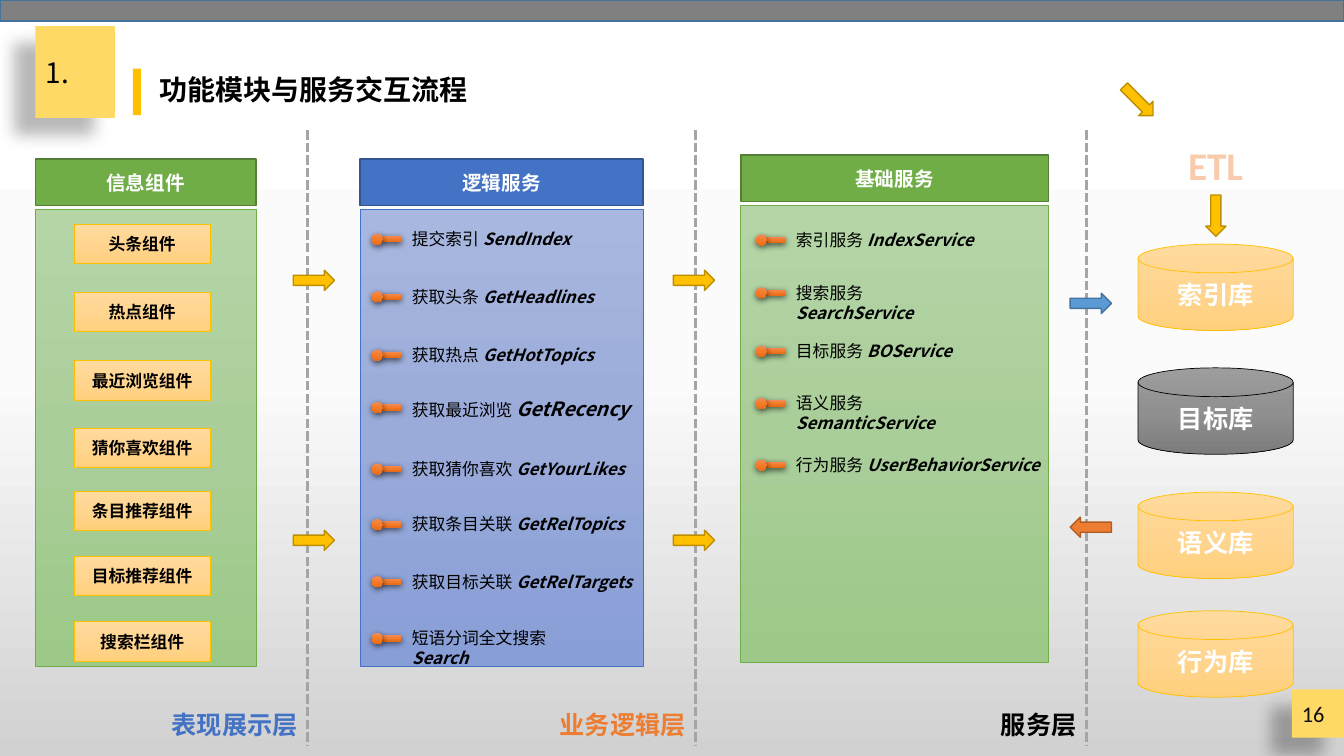
from dataclasses import dataclass
from typing import NamedTuple, Optional

from lxml import etree
from pptx import Presentation
from pptx.dml.color import RGBColor
from pptx.enum.dml import MSO_LINE
from pptx.enum.shapes import MSO_CONNECTOR, MSO_SHAPE
from pptx.enum.text import MSO_ANCHOR, MSO_AUTO_SIZE, PP_ALIGN
from pptx.oxml.ns import qn
from pptx.util import Cm, Pt

RECT, OVAL = MSO_SHAPE.RECTANGLE, MSO_SHAPE.OVAL
ARROW, DISK = MSO_SHAPE.RIGHT_ARROW, MSO_SHAPE.FLOWCHART_MAGNETIC_DISK
STRAIGHT, DASH = MSO_CONNECTOR.STRAIGHT, MSO_LINE.SQUARE_DOT
MIDDLE, FIT = MSO_ANCHOR.MIDDLE, MSO_AUTO_SIZE.SHAPE_TO_FIT_TEXT
LEFT, CENTER, RIGHT = PP_ALIGN.LEFT, PP_ALIGN.CENTER, PP_ALIGN.RIGHT

HANS, LATIN = "Noto Sans CJK SC", "Calibri"
COLORS = {
    "black": "000000", "white": "FFFFFF", "ink": "0D0D0D", "gray": "808080",
    "dash": "A5A5A5", "note": "FFD966", "gold": "FFC000", "dark gold": "BD8E00",
    "green": "70AD47", "dark green": "538035", "blue": "4472C4",
    "dark blue": "325491", "sky": "5B9BD5", "dark sky": "43739E",
    "orange": "ED7D31", "rust": "AF5C24", "peach": "F8CBAD",
}
FADES = {
    "page": ("FFFFFF", "FBFBFB", "D1D1D1"),
    "green": ("B5D5A7", "AACE9A", "9CC987"),
    "blue": ("A8B7DF", "9AABD9", "889ED7"),
    "gold": ("FFDB9E", "FFD590", "FFD07C"),
    "gray": ("9D9D9D", "909090", "7C7C7C"),
    "pin": ("F18C57", "F67B28", "E56C19"),
}


class Box(NamedTuple):
    x: float
    y: float
    w: float
    h: float


class Shade(NamedTuple):
    alpha: int
    blur: float
    dist: float
    angle: int


@dataclass
class Type:
    size: int
    color: str = "black"
    bold: bool = False
    align: PP_ALIGN = LEFT
    face: str = HANS


@dataclass
class Panel:
    title: str
    x: float
    y: float
    w: float
    hue: str


@dataclass
class Call:
    y: float
    w: float
    label: str
    name: str
    wrap: bool = False
    size: Optional[int] = None


@dataclass
class Arrow:
    x: float
    y: float
    turn: int = 0
    fill: str = "gold"
    edge: str = "dark gold"


NOTE, PIN = Shade(28, 11.8, 19.7, 141), Shade(63, 4.5, 1.5, 90)
HEAD = Type(14, "white", True, CENTER)
PANELS = [
    Panel("信息组件", 0.89, 4.01, 5.56, "green"),
    Panel("逻辑服务", 9.07, 4.01, 7.14, "blue"),
    Panel("基础服务", 18.67, 3.91, 7.75, "green"),
]
LAYERS = [(7.75, "表现展示层", "blue"), (17.53, "业务逻辑层", "orange"),
          (27.38, "服务层", "black")]
WIDGETS = [(5.66, "头条组件"), (7.37, "热点组件"), (9.09, "最近浏览组件"),
           (10.8, "猜你喜欢组件"), (12.37, "条目推荐组件"),
           (14.02, "目标推荐组件"), (15.67, "搜索栏组件")]
CALLS = {
    10.13: [
        Call(5.64, 4.62, "提交索引", "SendIndex"),
        Call(7.09, 5.21, "获取头条", "GetHeadlines"),
        Call(8.56, 5.21, "获取热点", "GetHotTopics"),
        Call(9.88, 6.12, "获取最近浏览", "GetRecency", size=14),
        Call(11.43, 5.99, "获取猜你喜欢", "GetYourLikes"),
        Call(12.83, 5.97, "获取条目关联", "GetRelTopics"),
        Call(14.27, 6.2, "获取目标关联", "GetRelTargets"),
        Call(15.7, 4.9, "短语分词全文搜索", "Search", True),
    ],
    19.81: [
        Call(5.66, 5.11, "索引服务", "IndexService"),
        Call(6.99, 5.2, "搜索服务", "SearchService", True),
        Call(8.46, 4.55, "目标服务", "BOService"),
        Call(9.78, 5.6, "语义服务", "SemanticService", True),
        Call(11.33, 6.78, "行为服务", "UserBehaviorService"),
    ],
}
ARROWS = [Arrow(x, y) for x in (7.39, 16.97) for y in (6.81, 13.36)] + [
    Arrow(28.17, 2.29, 45), Arrow(30.12, 5.18, 90),
    Arrow(26.97, 7.39, 0, "sky", "dark sky"),
    Arrow(26.97, 13.03, 180, "orange", "rust"),
]
DISKS = [(6.15, "索引库", "gold", "gold"), (9.27, "目标库", "gray", "black"),
         (12.4, "语义库", "gold", "gold"), (15.39, "行为库", "gold", "gold")]


def rgb(name: str) -> RGBColor:
    return RGBColor.from_string(COLORS[name])


def sub(parent, tag: str, **attrs):
    return etree.SubElement(parent, qn(tag), {k: str(v) for k, v in attrs.items()})


def fade(fill, root, name: str) -> None:
    """Fill from top to bottom with three even stops."""
    fill.gradient()
    fill.gradient_angle = 270
    stops = next(root.iter(qn("a:gsLst")))
    for old in list(stops):
        stops.remove(old)
    for i, tone in enumerate(FADES[name]):
        sub(sub(stops, "a:gs", pos=i * 50000), "a:srgbClr", val=tone)


def style(para, kind: Type) -> None:
    para.alignment = kind.align
    font = para.font
    font.size, font.bold, font.name = Pt(kind.size), kind.bold, kind.face
    font.color.rgb = rgb(kind.color)
    sub(font._element, "a:ea", typeface=kind.face)


def draw(slide, form, box: Box, fill: str = "", blend: str = "", edge: str = "",
         thick: float = 1, shade: Optional[Shade] = None, text: str = "",
         kind: Type = HEAD):
    shape = slide.shapes.add_shape(form, *map(Cm, box))
    shape.shadow.inherit = False
    props = shape._element.spPr
    if blend:
        fade(shape.fill, props, blend)
    else:
        shape.fill.solid()
        shape.fill.fore_color.rgb = rgb(fill)
    if edge:
        shape.line.color.rgb = rgb(edge)
        shape.line.width = Pt(thick)
    else:
        shape.line.fill.background()
    if shade:
        cast = sub(props.find(qn("a:effectLst")), "a:outerShdw",
                   blurRad=Pt(shade.blur), dist=Pt(shade.dist),
                   dir=shade.angle * 60000, algn="ctr", rotWithShape=0)
        tone = sub(cast, "a:srgbClr", val=COLORS["black"])
        sub(tone, "a:alpha", val=shade.alpha * 1000)
    if text:
        shape.text_frame.vertical_anchor = MIDDLE
        para = shape.text_frame.paragraphs[0]
        para.text = text
        style(para, kind)
    return shape


def write(slide, box: Box, text: str, kind: Type, wrap: bool = True):
    frame = slide.shapes.add_textbox(*map(Cm, box)).text_frame
    frame.word_wrap, frame.auto_size = wrap, FIT
    para = frame.paragraphs[0]
    para.add_run().text = text
    style(para, kind)
    return para


def layer(slide, x: float, text: str, color: str) -> None:
    """Dashed divider with the layer's name to its left."""
    line = slide.shapes.add_connector(STRAIGHT, Cm(x), Cm(3.28), Cm(x), Cm(18.77))
    line.line.color.rgb = rgb("dash")
    line.line.width, line.line.dash_style = Pt(2.25), DASH
    sub(line._element.spPr, "a:effectLst")
    write(slide, Box(x - 4.65, 17.75, 4.65, 1.02), text, Type(18, color, True, RIGHT))


def entry(slide, x: float, call: Call) -> None:
    """Pin bullet, service label and method name."""
    para = write(slide, Box(x, call.y, call.w, 0.76), call.label + " ",
                 Type(12), call.wrap)
    run = para.add_run()
    run.text = call.name
    run.font.bold = run.font.italic = True
    if call.size:
        run.font.size = Pt(call.size)
    draw(slide, RECT, Box(x - 0.52, call.y + 0.31, 0.51, 0.15), blend="pin", shade=PIN)
    draw(slide, OVAL, Box(x - 0.76, call.y + 0.25, 0.28, 0.28), blend="pin", shade=PIN)


def main() -> None:
    deck = Presentation()
    deck.slide_width, deck.slide_height = Cm(33.87), Cm(19.05)
    slide = deck.slides.add_slide(deck.slide_layouts[6])
    fade(slide.background.fill, slide._element, "page")

    draw(slide, RECT, Box(0, 0, 33.87, 0.53), "gray", edge="dark sky")
    draw(slide, RECT, Box(0.89, 0.66, 2.01, 2.31), "note", shade=NOTE)
    draw(slide, RECT, Box(32.56, 17.37, 1.31, 1.22), "note", shade=NOTE)
    write(slide, Box(32.56, 17.53, 1.31, 0.94), "16", Type(16, "ink", face=LATIN), False)
    draw(slide, RECT, Box(3.35, 1.73, 0.2, 1.17), "gold")
    for box, text, bold in ((Box(0.91, 1.37, 1.96, 1.07), "1.", False),
                            (Box(3.76, 1.8, 10.21, 1.04), "功能模块与服务交互流程", True)):
        write(slide, box, text, Type(20, bold=bold)).line_spacing = 0.9

    for mark in LAYERS:
        layer(slide, *mark)
    for p in PANELS:
        draw(slide, RECT, Box(p.x, p.y, p.w, 1.17), p.hue, edge="dark " + p.hue,
             text=p.title)
        draw(slide, RECT, Box(p.x, p.y + 1.26, p.w, 11.53), blend=p.hue,
             edge=p.hue, thick=0.5)
    for y, text in WIDGETS:
        draw(slide, RECT, Box(1.87, y, 3.43, 0.99), blend="gold", edge="gold",
             thick=0.5, text=text, kind=Type(12, "black", True, CENTER))
    for x, calls in CALLS.items():
        for call in calls:
            entry(slide, x, call)
    for y, text, blend, edge in DISKS:
        draw(slide, DISK, Box(28.68, y, 3.91, 2.18), blend=blend, edge=edge,
             thick=0.5, text=text, kind=Type(18, "white", True, CENTER))
    for a in ARROWS:
        draw(slide, ARROW, Box(a.x, a.y, 1.04, 0.51), a.fill, edge=a.edge).rotation = a.turn
    write(slide, Box(29.69, 3.43, 1.91, 1.45), "ETL",
          Type(28, "peach", True, face=LATIN), False)
    deck.save("out.pptx")


if __name__ == "__main__":
    main()
